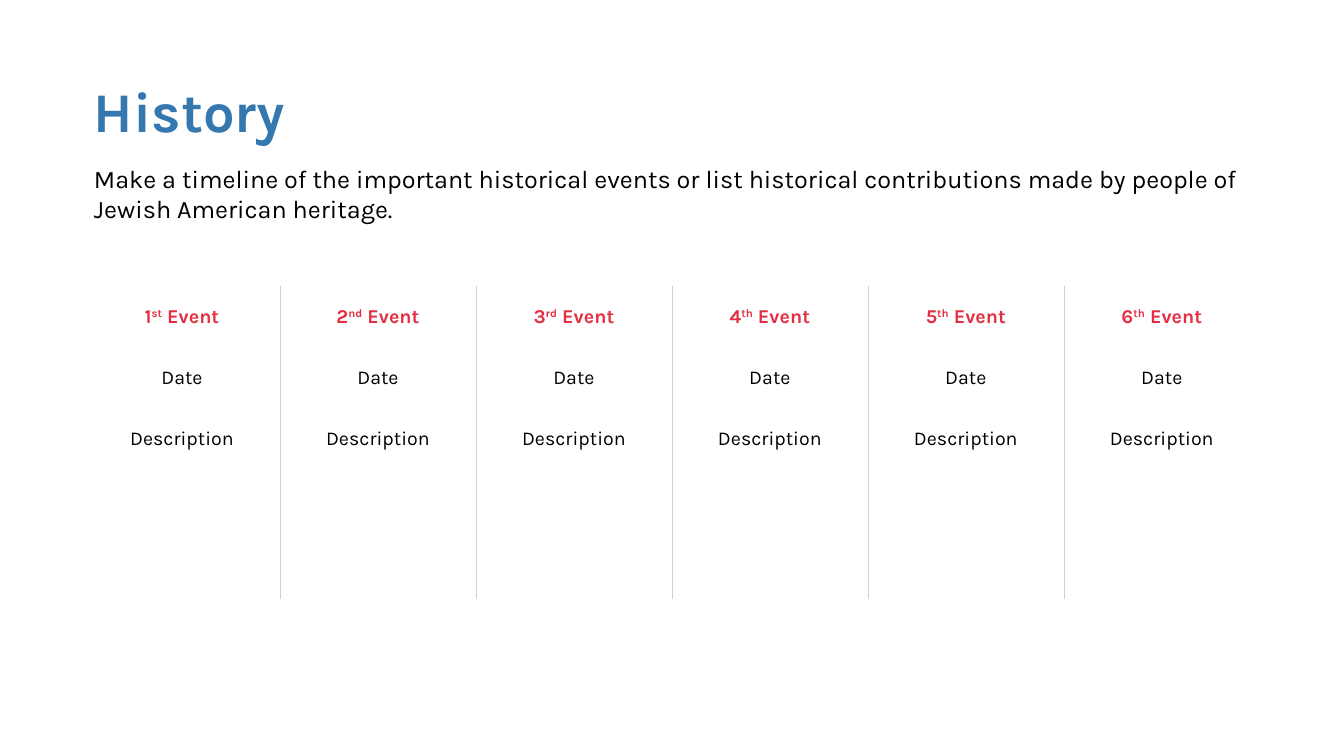
from lxml import etree
from pptx import Presentation, util as u
from pptx.dml.color import RGBColor
from pptx.enum import text
from pptx.oxml import ns

# Content
TITLE = "History"
INTRO = ("Make a timeline of the important historical events\u00a0or list historical "
         "contributions made by people of Jewish American heritage.")
ORDINALS = [("1", "st"), ("2", "nd"), ("3", "rd"), ("4", "th"), ("5", "th"), ("6", "th")]
DETAILS = ["Date", "Description"]

# Look and layout, in pixels
FONT, BLUE, RED, BLACK, GREY = "Karla", "3578AF", "E23042", "000000", "D0CECE"
LEFT, COLUMN = 84, 196
ROWS = [61, 61, 191]
TABLE_TOP = 286


def px(n):
    return u.Emu(round(n * 914400 / 100.8))


def color(hex_value):
    return RGBColor.from_string(hex_value)


def add_run(paragraph, words, size, hue, bold=False, raised=False):
    run = paragraph.add_run()
    run.text = words
    font = run.font
    font.name, font.size, font.bold = FONT, u.Pt(size), bold
    font.color.rgb = color(hue)
    if raised:
        font._element.set("baseline", "30000")


def add_text(top, width, height, words, size, hue, bold=False, spacing=None):
    frame = slide.shapes.add_textbox(px(LEFT), px(top), px(width), px(height)).text_frame
    frame.word_wrap = True
    paragraph = frame.paragraphs[0]
    paragraph.space_before = u.Pt(10)
    paragraph.line_spacing = spacing
    add_run(paragraph, words, size, hue, bold)


def set_borders(cell, left, right):
    properties = cell._tc.get_or_add_tcPr()
    for side, shown in (("L", left), ("R", right), ("T", False), ("B", False)):
        line = etree.SubElement(properties, ns.qn("a:ln" + side), w=str(u.Pt(0.5)))
        if shown:
            fill = etree.SubElement(line, ns.qn("a:solidFill"))
            etree.SubElement(fill, ns.qn("a:srgbClr"), val=GREY)
        else:
            etree.SubElement(line, ns.qn("a:noFill"))


deck = Presentation()
deck.slide_width, deck.slide_height = px(1344), px(756)
slide = deck.slides.add_slide(deck.slide_layouts[6])

# Heading and introduction
add_text(79, 1167, 71, TITLE, 40, BLUE, bold=True, spacing=0.9)
add_text(158, 1176, 128, INTRO, 18, BLACK)

# Timeline table
count = len(ORDINALS)
timeline = slide.shapes.add_table(len(ROWS), count, px(LEFT), px(TABLE_TOP),
                                  px(COLUMN * count), px(sum(ROWS))).table
timeline.first_row = timeline.horz_banding = False
for row, height in zip(timeline.rows, ROWS):
    row.height = px(height)
for column in timeline.columns:
    column.width = px(COLUMN)

for c, (number, suffix) in enumerate(ORDINALS):
    for r in range(len(ROWS)):
        cell = timeline.cell(r, c)
        set_borders(cell, left=c > 0, right=c < count - 1)
        cell.fill.background()
        paragraph = cell.text_frame.paragraphs[0]
        paragraph.alignment = text.PP_ALIGN.CENTER
        paragraph.space_before = u.Pt(2.8)
        if r == 0:
            add_run(paragraph, number, 14, RED, bold=True)
            add_run(paragraph, suffix, 14, RED, bold=True, raised=True)
            add_run(paragraph, " Event", 14, RED, bold=True)
        else:
            add_run(paragraph, DETAILS[r - 1], 14, BLACK)
        if r < len(ROWS) - 1:
            cell.vertical_anchor = text.MSO_ANCHOR.MIDDLE
        else:
            cell.vertical_anchor = text.MSO_ANCHOR.TOP
            cell.margin_top = px(20)

deck.save("out.pptx")
